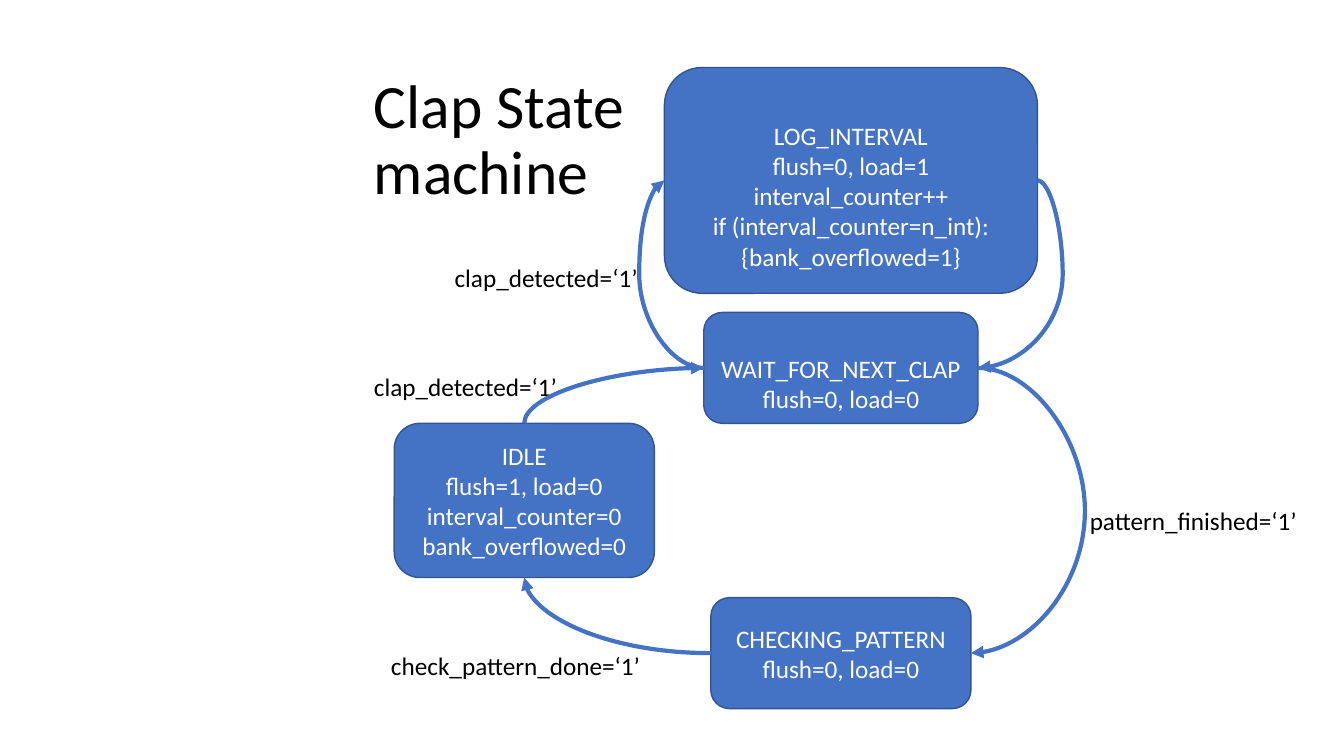
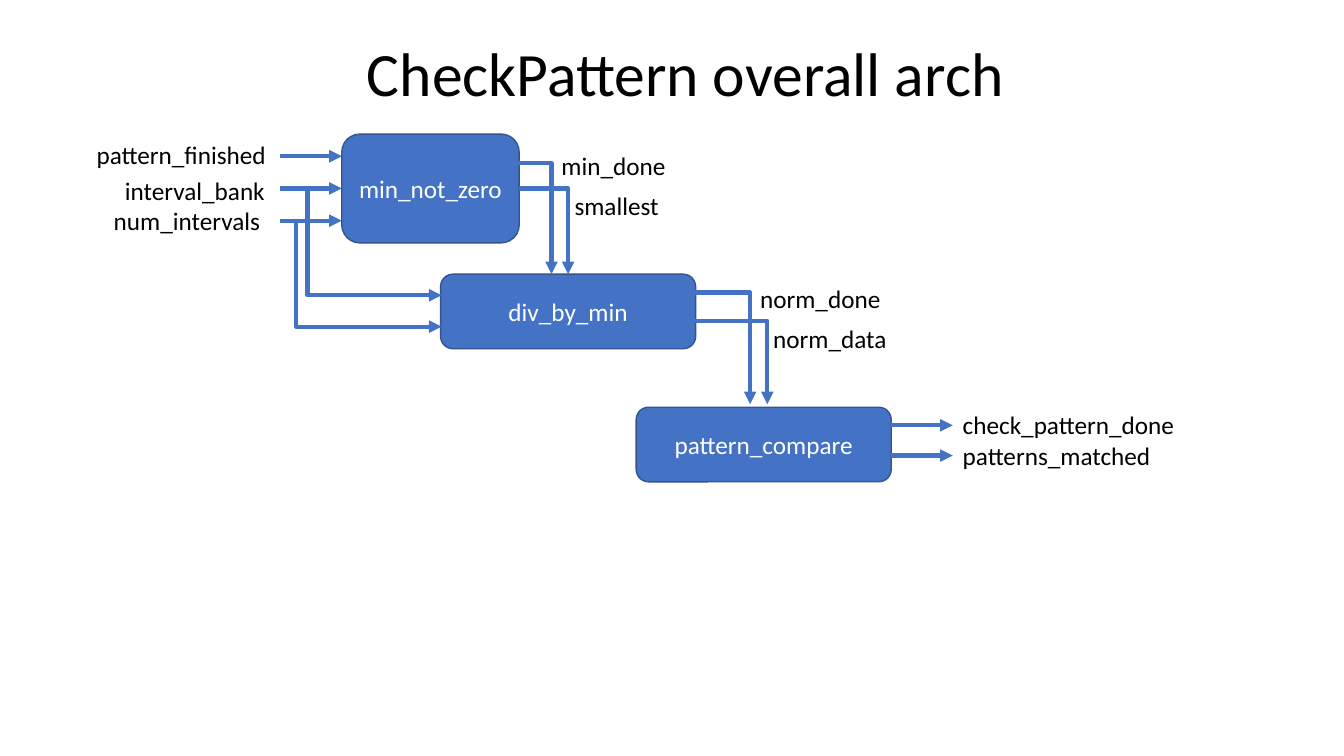
from dataclasses import dataclass
from typing import Any

from pptx import Presentation
from pptx.dml.color import RGBColor
from pptx.enum.shapes import MSO_CONNECTOR, MSO_SHAPE
from pptx.enum.text import MSO_ANCHOR, PP_ALIGN
from pptx.oxml.ns import qn
from pptx.oxml.xmlchemy import OxmlElement
from pptx.util import Inches, Pt

BLUE = RGBColor(0x44, 0x72, 0xC4)
NAVY = RGBColor(0x32, 0x54, 0x91)
WHITE = RGBColor(0xFF, 0xFF, 0xFF)
BLACK = RGBColor(0x00, 0x00, 0x00)
FONT = "Calibri"
TOP, LEFT, BOTTOM, RIGHT = range(4)
LINE_HEIGHT = 0.3


def write(tf, text, size, color, align=PP_ALIGN.LEFT):
    tf.word_wrap = True
    tf.text = text
    for p in tf.paragraphs:
        p.alignment = align
        for r in p.runs:
            r.font.name = FONT
            r.font.size = Pt(size)
            r.font.color.rgb = color


def style_arrow(cxn, end="tailEnd"):
    cxn.line.color.rgb = BLUE
    cxn.line.width = Pt(3)
    arrow = OxmlElement(f"a:{end}")
    arrow.set("type", "triangle")
    cxn.line._get_or_add_ln().append(arrow)
    cxn._element.spPr.append(OxmlElement("a:effectLst"))


def set_preset(cxn, preset, ratio=None):
    geom = cxn._element.spPr.find(qn("a:prstGeom"))
    geom.set("prst", preset)
    if ratio is not None:
        gd = OxmlElement("a:gd")
        gd.set("name", "adj1")
        gd.set("fmla", f"val {round(ratio * 100000)}")
        geom.get_or_add_avLst().append(gd)


def side_point(sp, side):
    across, down = {TOP: (1, 0), LEFT: (0, 1), BOTTOM: (1, 2), RIGHT: (2, 1)}[side]
    return sp.left + sp.width * across // 2, sp.top + sp.height * down // 2


@dataclass
class Region:
    s: Any
    left: float
    top: float

    def place(self, x, y):
        return Inches(self.left + x), Inches(self.top + y)

    def text(self, text, x, y, w, h=0.4, size=18):
        sp = self.s.shapes.add_textbox(*self.place(x, y), Inches(w), Inches(h))
        write(sp.text_frame, text, size, BLACK)
        return sp

    def title(self, text, x, y, w, h):
        tf = self.text(text, x, y, w, h, 44).text_frame
        tf.vertical_anchor = MSO_ANCHOR.MIDDLE
        tf.paragraphs[0].line_spacing = 0.9

    def block(self, text, x, y, w, h, lead=0):
        sp = self.s.shapes.add_shape(MSO_SHAPE.ROUNDED_RECTANGLE, *self.place(x, y),
                                     Inches(w), Inches(h))
        sp.shadow.inherit = False
        sp.fill.solid()
        sp.fill.fore_color.rgb = BLUE
        sp.line.color.rgb = NAVY
        sp.line.width = Pt(1)
        tf = sp.text_frame
        tf.vertical_anchor = MSO_ANCHOR.MIDDLE
        tf.margin_top = Inches(0.05 + lead)
        write(tf, text, 18, WHITE, PP_ALIGN.CENTER)
        return sp

    def arrow(self, x1, x2, y):
        cxn = self.s.shapes.add_connector(MSO_CONNECTOR.STRAIGHT, *self.place(x1, y),
                                          *self.place(x2, y))
        style_arrow(cxn)
        return cxn

    def join(self, kind, start, start_side, finish, finish_side, via=None, end="tailEnd"):
        x1, y1 = side_point(start, start_side)
        x2, y2 = side_point(finish, finish_side)
        cxn = self.s.shapes.add_connector(MSO_CONNECTOR.CURVE, x1, y1, x2, y2)
        cxn.begin_connect(start, start_side)
        cxn.end_connect(finish, finish_side)
        if via is None:
            set_preset(cxn, f"{kind}Connector2")
        else:
            turn = Inches(self.left + via)
            set_preset(cxn, f"{kind}Connector3", (turn - x1) / (x2 - x1))
        style_arrow(cxn, end)

    def branch(self, x1, y1, x2, y2, via):
        cxn = self.s.shapes.add_connector(MSO_CONNECTOR.ELBOW, *self.place(x1, y1),
                                          *self.place(x2, y2))
        set_preset(cxn, "bentConnector3", (via - x1) / (x2 - x1))
        style_arrow(cxn)

    def drop(self, x1, y1, x2, y2, via):
        mid_x, mid_y = (x1 + x2) / 2, (y1 + y2) / 2
        half_w, half_h = (y2 - y1) / 2, (x2 - x1) / 2
        cxn = self.s.shapes.add_connector(
            MSO_CONNECTOR.ELBOW, *self.place(mid_x + half_w, mid_y - half_h),
            *self.place(mid_x - half_w, mid_y + half_h))
        cxn._element.spPr.find(qn("a:xfrm")).set("rot", "16200000")
        set_preset(cxn, "bentConnector3", (via - y1) / (y2 - y1))
        style_arrow(cxn)


def clap_state_machine(s, left, top):
    area = Region(s, left, top)
    idle = area.block("IDLE\nflush=1, load=0\ninterval_counter=0\nbank_overflowed=0",
                      0.31, 3.6, 2.58, 1.53)
    log = area.block("LOG_INTERVAL\nflush=0, load=1\ninterval_counter++\n"
                     "if (interval_counter=n_int):\n{bank_overflowed=1}",
                     2.99, 0.07, 3.7, 2.24, LINE_HEIGHT)
    check = area.block("CHECKING_PATTERN\nflush=0, load=0", 3.45, 5.33, 2.58, 1.1)
    wait = area.block("WAIT_FOR_NEXT_CLAP\nflush=0, load=0",
                      3.38, 2.5, 2.72, 1.1, LINE_HEIGHT)
    area.title("Clap State machine", 0.01, 0.08, 2.72, 1.45)
    for label, x, y, w in (
        ("clap_detected=‘1’", 0.81, 1.95, 2.08),
        ("clap_detected=‘1’", 0.01, 3.03, 2.08),
        ("check_pattern_done=‘1’", 0.18, 5.8, 2.8),
        ("pattern_finished=‘1’", 7.11, 4.36, 2.48),
    ):
        area.text(label, x, y, w)
    area.join("curved", log, RIGHT, wait, RIGHT, 6.94)
    area.join("curved", check, LEFT, idle, BOTTOM)
    area.join("curved", wait, RIGHT, check, RIGHT, 7.16)
    area.join("curved", wait, LEFT, log, LEFT, 2.74)
    area.join("curved", wait, LEFT, idle, TOP, end="headEnd")


def check_pattern_arch(s, left, top):
    area = Region(s, left, top)
    area.title("CheckPattern overall arch", 2.74, -1.1, 6.58, 1.12)
    minimum = area.block("min_not_zero", 2.59, 0.03, 1.76, 1.08)
    divide = area.block("div_by_min", 3.57, 1.42, 2.53, 0.74)
    area.block("pattern_compare", 5.51, 2.74, 2.53, 0.74)
    for label, x, y, w in (
        ("pattern_finished", 0.06, 0.03, 2.01),
        ("interval_bank", 0.34, 0.39, 1.65),
        ("num_intervals", 0.23, 0.69, 1.76),
        ("min_done", 4.67, 0.14, 2.01),
        ("smallest", 4.8, 0.54, 1.36),
        ("norm_done", 6.64, 1.46, 2.01),
        ("norm_data", 6.77, 1.86, 1.36),
        ("check_pattern_done", 8.65, 2.71, 2.38),
        ("patterns_matched", 8.65, 3.02, 2.38),
    ):
        area.text(label, x, y, w)
    for y in (0.25, 0.89):
        area.arrow(1.98, 2.59, y)
    area.arrow(1.98, 2.59, 0.57).end_connect(minimum, LEFT)
    for y in (2.92, 3.22):
        area.arrow(8.04, 8.65, y)
    area.branch(2.24, 0.57, 3.58, 1.63, 2.25)
    area.branch(2.07, 0.89, 3.58, 1.94, 2.14)
    area.join("bent", minimum, RIGHT, divide, TOP)
    area.drop(4.11, 0.29, 4.67, 1.42, 0.32)
    area.drop(6.08, 1.62, 6.64, 2.71, 1.6)
    area.drop(6.09, 1.89, 6.81, 2.71, 1.88)


def main():
    prs = Presentation()
    prs.slide_width, prs.slide_height = Inches(13.33), Inches(7.5)
    for build, left, top in ((clap_state_machine, 3.6, 0.6),
                             (check_pattern_arch, 0.8, 1.3)):
        build(prs.slides.add_slide(prs.slide_layouts[6]), left, top)
    prs.save("out.pptx")


if __name__ == "__main__":
    main()
